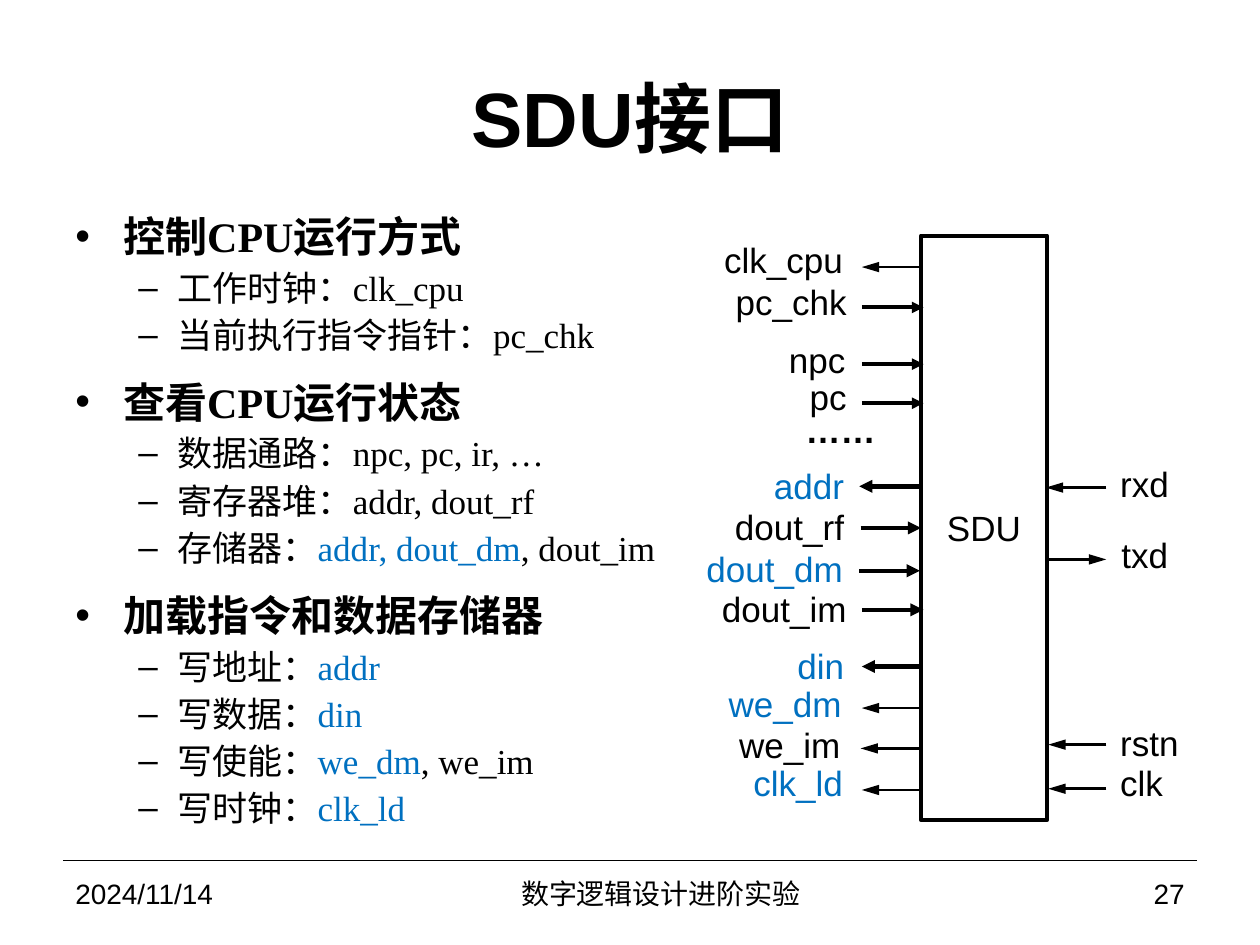
from lxml import etree
from pptx import Presentation
from pptx import util as u
from pptx.dml.color import RGBColor
from pptx.enum import shapes, text
from pptx.oxml.ns import qn

BLACK = RGBColor(0x00, 0x00, 0x00)
BLUE = RGBColor(0x00, 0x70, 0xC0)
WIDE, HIGH = u.Inches(10), u.Inches(7.5)
COL, ROW = WIDE / 100, HIGH / 75
LEFT, RIGHT = text.PP_ALIGN.LEFT, text.PP_ALIGN.RIGHT
MID = text.PP_ALIGN.CENTER

TOPICS = [
    ("控制CPU运行方式", [
        [("工作时钟：clk_cpu", BLACK)],
        [("当前执行指令指针：pc_chk", BLACK)]]),
    ("查看CPU运行状态", [
        [("数据通路：npc, pc, ir, …", BLACK)],
        [("寄存器堆：addr, dout_rf", BLACK)],
        [("存储器：", BLACK), ("addr, dout_dm", BLUE), (", dout_im", BLACK)]]),
    ("加载指令和数据存储器", [
        [("写地址：", BLACK), ("addr", BLUE)],
        [("写数据：", BLACK), ("din", BLUE)],
        [("写使能：", BLACK), ("we_dm", BLUE), (", we_im", BLACK)],
        [("写时钟：", BLACK), ("clk_ld", BLUE)]]),
]

# name, label edge, label top, wire row, inner end, outer end, inward, weight, colour
PORTS = [
    ("clk_cpu", 66.9, 18.9, 21.2, 73.2, 68.4, False, 1.5, BLACK),
    ("pc_chk", 67.2, 22.2, 24.4, 73.3, 68.4, True, 2.25, BLACK),
    ("npc", 67.1, 26.8, 28.9, 73.3, 68.4, True, 2.25, BLACK),
    ("pc", 67.2, 29.8, 32, 73.3, 68.4, True, 2.25, BLACK),
    ("addr", 67, 36.8, 38.6, 73, 68.2, False, 2.5, BLUE),
    ("dout_rf", 67, 40.1, 41.9, 73.1, 68.3, True, 2.5, BLACK),
    ("dout_dm", 66.9, 43.4, 45.3, 73, 68.2, True, 2.5, BLUE),
    ("dout_im", 67.2, 46.6, 48.4, 73.3, 68.4, True, 2.5, BLACK),
    ("din", 67, 51.1, 52.9, 73.2, 68.4, False, 2.5, BLUE),
    ("we_dm", 66.8, 54.1, 56.2, 73.1, 68.4, False, 1.5, BLUE),
    ("we_im", 66.7, 57.4, 59.4, 73.1, 68.3, False, 1.5, BLACK),
    ("clk_ld", 66.9, 60.4, 62.7, 73.2, 68.4, False, 1.5, BLUE),
    ("rxd", 88.9, 36.7, 38.7, 83, 87.8, True, 1.5, BLACK),
    ("txd", 89, 42.3, 44.4, 83.2, 87.8, False, 1.5, BLACK),
    ("rstn", 88.9, 57.2, 59.1, 83.2, 87.8, True, 1.5, BLACK),
    ("clk", 88.9, 60.4, 62.6, 83.2, 87.8, True, 1.5, BLACK),
]


def place(x, y, w, h):
    return [round(n) for n in (x * COL, y * ROW, w * COL, h * ROW)]


def style(para, size, align=LEFT, color=BLACK, bold=False, face="Arial"):
    para.alignment = align
    font = para.font
    font.name, font.size, font.bold = face, u.Pt(size), bold
    font.color.rgb = color


def add_text(slide, words, area, size, align, color=BLACK, bold=False, tight=False):
    frame = slide.shapes.add_textbox(*place(*area)).text_frame
    frame.word_wrap = not tight
    frame.vertical_anchor = text.MSO_ANCHOR.MIDDLE
    if tight:
        frame.margin_left = frame.margin_right = 0
        frame.margin_top = frame.margin_bottom = 0
    frame.text = words
    style(frame.paragraphs[0], size, align, color, bold)


def add_line(slide, start, end, y, weight, arrow=True):
    x1, y1, x2, _ = place(start, y, end, 0)
    line = slide.shapes.add_connector(shapes.MSO_CONNECTOR.STRAIGHT, x1, y1, x2, y1)
    line.line.color.rgb = BLACK
    line.line.width = u.Pt(weight)
    if arrow:
        etree.SubElement(line.line._get_or_add_ln(), qn("a:tailEnd"),
                         type="triangle", w="med", len="lg" if weight < 2 else "med")
    etree.SubElement(line._element.spPr, qn("a:effectLst"))


def add_port(slide, name, edge, top, y, inner, outer, inward, weight, color):
    ends = (outer, inner) if inward else (inner, outer)
    add_line(slide, *ends, y, weight)
    wide = 11
    left, align = (edge - wide, RIGHT) if edge < inner else (edge, LEFT)
    add_text(slide, name, (left, top, wide, 3.4), 20, align, color, tight=True)


def add_item(para, runs, level, gap):
    para.level = level
    para.space_before = u.Pt(gap)
    props = para._p.get_or_add_pPr()
    indent, hang, mark = [(0.38, 0.38, "•"), (0.81, 0.31, "–")][level]
    props.set("marL", str(u.Inches(indent)))
    props.set("indent", str(-u.Inches(hang)))
    etree.SubElement(props, qn("a:buFont"), typeface="Arial")
    etree.SubElement(props, qn("a:buChar"), char=mark)
    style(para, 20 if level else 24, bold=level == 0, face="Times New Roman")
    for words, color in runs:
        run = para.add_run()
        run.text = words
        if color != BLACK:
            run.font.color.rgb = color


def add_topics(slide):
    frame = slide.shapes.add_textbox(*place(5, 16.2, 52, 52.1)).text_frame
    frame.word_wrap = True
    for i, (head, items) in enumerate(TOPICS):
        para = frame.add_paragraph() if i else frame.paragraphs[0]
        add_item(para, [(head, BLACK)], 0, 12 if i else 0)
        for runs in items:
            add_item(frame.add_paragraph(), runs, 1, 3)


def add_unit(slide):
    box = slide.shapes.add_shape(shapes.MSO_SHAPE.RECTANGLE, *place(73.1, 18.7, 10, 46.4))
    box.shadow.inherit = False
    box.fill.background()
    box.line.color.rgb = BLACK
    box.line.width = u.Pt(2.25)
    frame = box.text_frame
    frame.word_wrap = False
    frame.vertical_anchor = text.MSO_ANCHOR.MIDDLE
    frame.text = "SDU"
    style(frame.paragraphs[0], 20, MID)


def add_title(slide):
    title = slide.shapes.title
    title.left, title.top, title.width, title.height = place(5, 3, 90, 12.5)
    frame = title.text_frame
    frame.text = "SDU接口"
    frame.vertical_anchor = text.MSO_ANCHOR.MIDDLE
    style(frame.paragraphs[0], 44, MID, bold=True)


def main():
    deck = Presentation()
    deck.slide_width, deck.slide_height = WIDE, HIGH
    slide = deck.slides.add_slide(deck.slide_layouts[5])
    add_line(slide, 5, 95, 68.3, 0.75, arrow=False)
    add_title(slide)
    add_topics(slide)
    add_unit(slide)
    for port in PORTS:
        add_port(slide, *port)
    add_text(slide, "……", (63.9, 32.4, 5.6, 3.4), 20, RIGHT, bold=True, tight=True)
    for words, x, w, align in [("2024/11/14", 5, 23.3, LEFT),
                               ("数字逻辑设计进阶实验", 28.3, 48.3, MID),
                               ("27", 76.7, 18.3, RIGHT)]:
        add_text(slide, words, (x, 68.3, w, 5.2), 16, align)
    deck.save("out.pptx")


if __name__ == "__main__":
    main()
